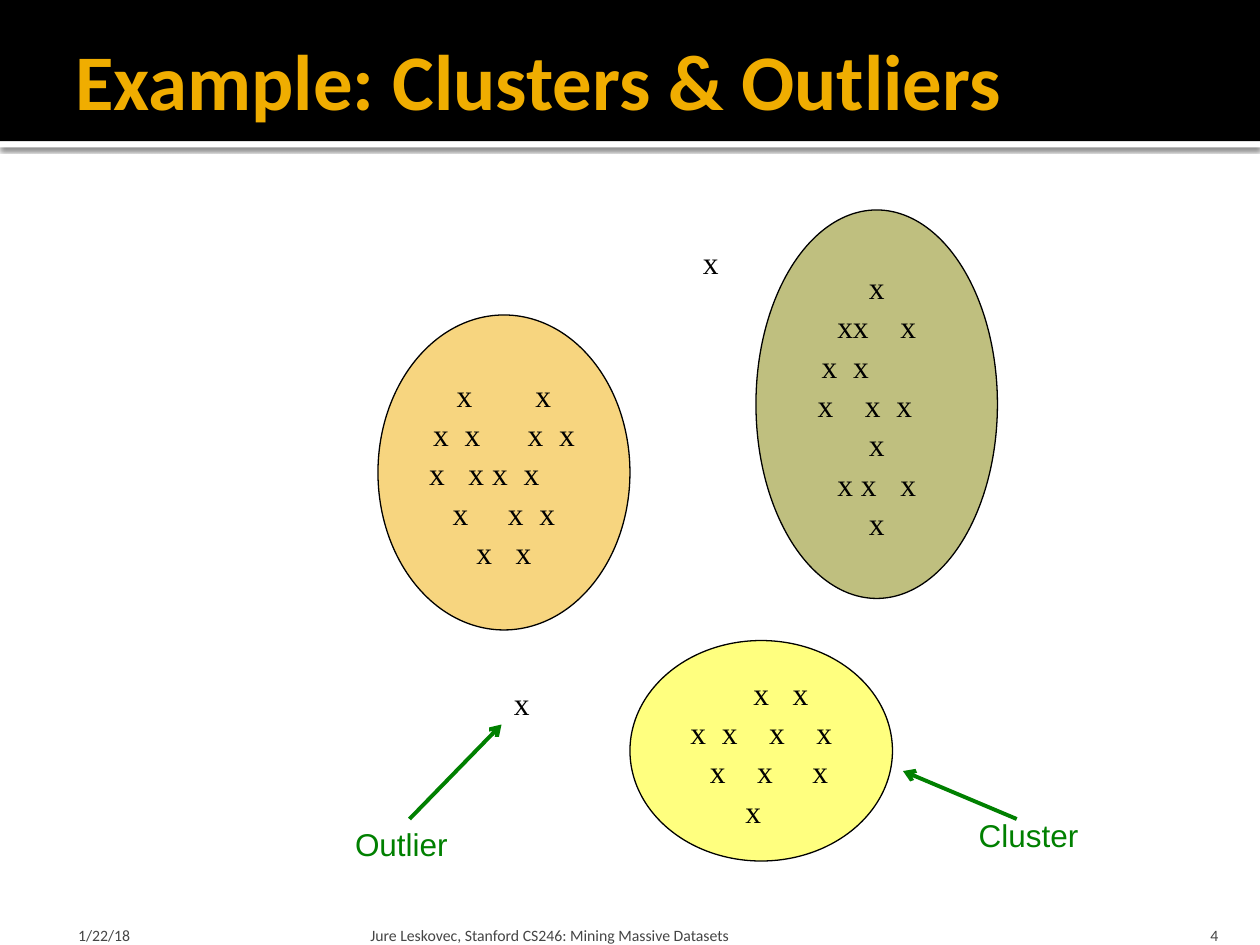
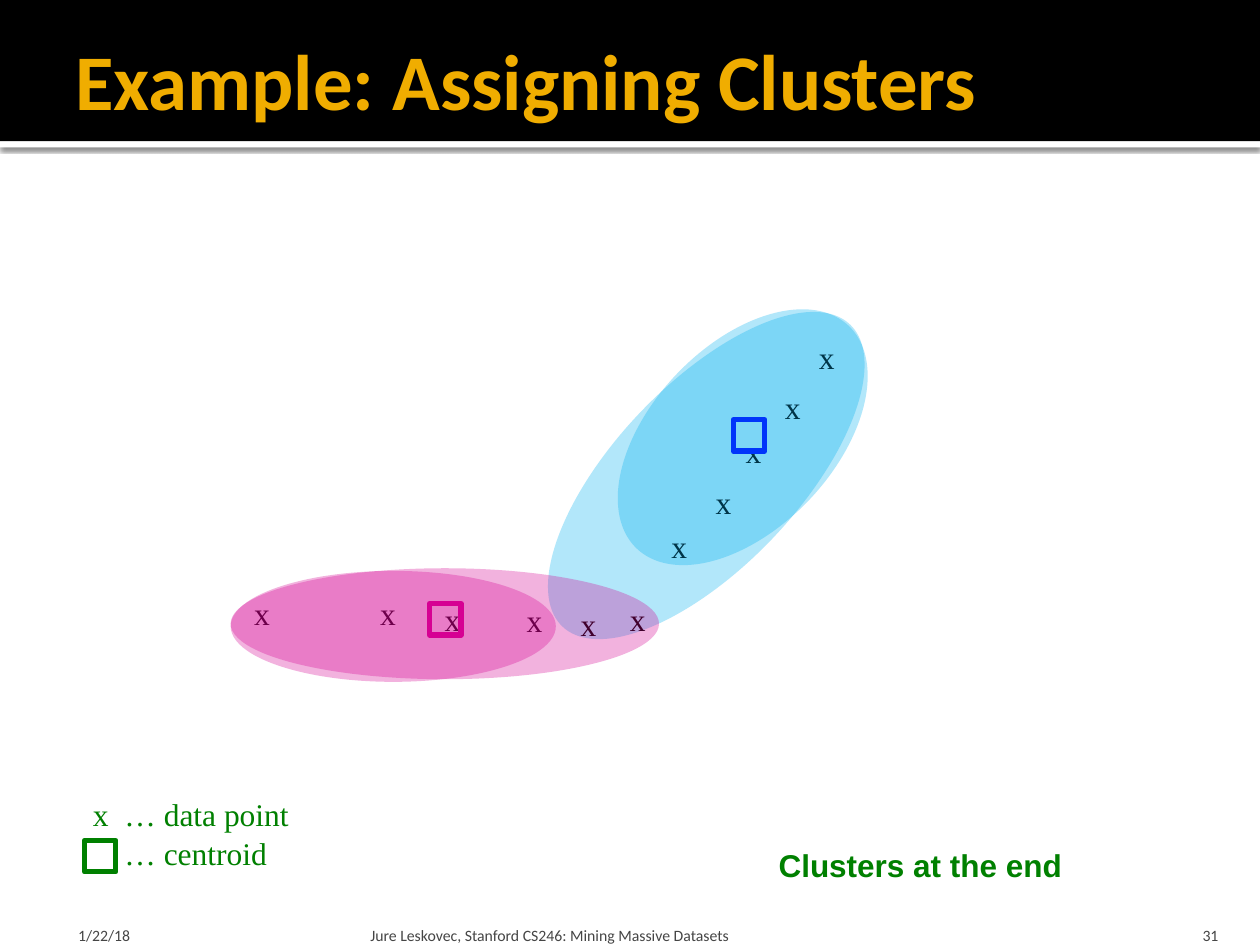
from dataclasses import dataclass
from math import sqrt

from lxml.etree import SubElement
from pptx import Presentation
from pptx.dml.color import RGBColor
from pptx.enum.shapes import MSO_CONNECTOR, MSO_SHAPE
from pptx.enum.text import MSO_ANCHOR, MSO_AUTO_SIZE, PP_ALIGN
from pptx.oxml.ns import qn
from pptx.util import Pt


@dataclass(frozen=True)
class Theme:
    black: str = "000000"
    white: str = "FFFFFF"
    gold: str = "F0AD00"
    olive: str = "808000"
    yellow: str = "FFFF00"
    green: str = "008000"
    sky: str = "00B0F0"
    blue: str = "0000FF"
    pink: str = "D60093"
    grey: str = "454545"
    heading: str = "Calibri"
    label: str = "Arial"
    mark: str = "Times New Roman"
    title_size: float = 45
    text_size: float = 18
    footer_size: float = 9
    line_spacing: float = 1.04


@dataclass(frozen=True)
class Box:
    x: float
    y: float
    w: float
    h: float

    def at(self, x, y, w=0, h=0):
        return Box(self.x + x, self.y + y, w, h)

    def lengths(self):
        return Pt(self.x), Pt(self.y), Pt(self.w), Pt(self.h)


T = Theme()
PAGE = Box(0, 0, 720, 540)
CONTENT = Box(0, 84, 720, 420)
FOOTER = Box(0, 518.4, 720, 21.6)
HALF_EM = T.text_size / 2
UNIT = T.text_size / 4
COURSE = "Jure Leskovec, Stanford CS246: Mining Massive Datasets"
DATE = "1/22/18"


def rgb(value):
    return RGBColor.from_string(value)


def style(p, font, size, color, bold=False):
    for r in p.runs:
        r.font.name, r.font.size, r.font.bold = font, Pt(size), bold
        r.font.color.rgb = rgb(color)


def set_frame(tf, insets, anchor):
    tf.word_wrap = True
    tf.auto_size = MSO_AUTO_SIZE.NONE
    tf.vertical_anchor = anchor
    tf.margin_left, tf.margin_top, tf.margin_right, tf.margin_bottom = map(Pt, insets)


def add_tabs(p, stops):
    tabs = SubElement(p._p.get_or_add_pPr(), qn("a:tabLst"))
    for stop in stops:
        SubElement(tabs, qn("a:tab"), pos=str(int(Pt(stop))), algn="l")


def add_text(s, box, text, font, size=T.text_size, color=T.green, bold=False,
             insets=(7.2, 3.6, 7.2, 3.6), anchor=MSO_ANCHOR.TOP, align=PP_ALIGN.LEFT):
    tf = s.shapes.add_textbox(*box.lengths()).text_frame
    set_frame(tf, insets, anchor)
    tf.text = text
    for p in tf.paragraphs:
        p.alignment = align
        style(p, font, size, color, bold)
    return tf


def add_shape(s, kind, box, fill=None, alpha=None, line=None, width=0.75, rotation=0):
    sp = s.shapes.add_shape(kind, *box.lengths())
    sp.shadow.inherit = False
    sp.rotation = rotation
    if fill:
        sp.fill.solid()
        sp.fill.fore_color.rgb = rgb(fill)
        if alpha:
            color = sp._element.spPr.find(qn("a:solidFill"))[0]
            SubElement(color, qn("a:alpha"), val=str(alpha * 1000))
    else:
        sp.fill.background()
    if line:
        sp.line.color.rgb = rgb(line)
        sp.line.width = Pt(width)
    else:
        sp.line.fill.background()
    return sp


def add_arrow(s, start, end):
    c = s.shapes.add_connector(MSO_CONNECTOR.STRAIGHT, Pt(start.x), Pt(start.y),
                               Pt(end.x), Pt(end.y))
    c.line.color.rgb = rgb(T.green)
    c.line.width = Pt(2.25)
    SubElement(c.line._get_or_add_ln(), qn("a:tailEnd"), type="arrow")
    SubElement(c._element.spPr, qn("a:effectLst"))


def add_point(s, box):
    add_text(s, box, "x", T.mark, color=T.black)


def add_centroid(s, box, color):
    add_shape(s, MSO_SHAPE.RECTANGLE, box, line=color, width=3)


def add_cluster(s, box, fill, rows):
    sp = add_shape(s, MSO_SHAPE.OVAL, box, fill, 50, T.black)
    tf = sp.text_frame
    set_frame(tf, (0, 0, 0, 0), MSO_ANCHOR.MIDDLE)
    middle = box.w * sqrt(0.5) / 2
    for i, row in enumerate(rows):
        p = tf.paragraphs[0] if i == 0 else tf.add_paragraph()
        text, stops, previous = "", [], None
        for offset in row:
            if previous is None or offset - previous > 2:
                text += "\t"
                stops.append(middle + UNIT * offset - HALF_EM / 2)
            text += "x"
            previous = offset
        p.text = text
        p.alignment = PP_ALIGN.LEFT
        p.line_spacing = T.line_spacing
        add_tabs(p, stops)
        style(p, T.mark, T.text_size, T.black)


def add_header(s, box, title):
    rule = add_shape(s, MSO_SHAPE.RECTANGLE, box.at(0, 80.64, box.w, 3.6), T.white)
    band = add_shape(s, MSO_SHAPE.RECTANGLE, box.at(0, 0, box.w, 80.64), T.black)
    shadow = SubElement(rule._element.spPr.find(qn("a:effectLst")), qn("a:outerShdw"),
                        blurRad=str(int(Pt(2.5))), dist=str(int(Pt(0.8))),
                        dir="5400000", algn="t", rotWithShape="0")
    color = SubElement(shadow, qn("a:srgbClr"), val=T.black)
    SubElement(color, qn("a:alpha"), val="60000")
    for sp in (band, rule):
        s.shapes._spTree.insert(2, sp._element)

    ph = s.shapes.title
    ph.left, ph.top, ph.width, ph.height = box.at(36, 12.24, 648, 66.24).lengths()
    tf = ph.text_frame
    set_frame(tf, (7.2, 3.6, 3.6, 3.6), MSO_ANCHOR.MIDDLE)
    tf.text = title
    p = tf.paragraphs[0]
    p.alignment = PP_ALIGN.LEFT
    style(p, T.heading, T.title_size, T.gold, True)


def add_footer(s, box, number):
    for x, w, text, left, right, align in (
        (36, 168, DATE, 8.64, 3.6, PP_ALIGN.LEFT),
        (208, 433.5, COURSE, 3.6, 3.6, PP_ALIGN.LEFT),
        (645.8, 57.6, str(number), 7.2, 7.2, PP_ALIGN.RIGHT),
    ):
        add_text(s, box.at(x, 0, w, box.h), text, T.heading, T.footer_size, T.grey,
                 insets=(left, 3.6, right, 0), anchor=MSO_ANCHOR.BOTTOM, align=align)


def draw_outliers(s, box):
    add_cluster(s, box.at(216, 96, 144, 180), T.gold, (
        (-5, 5), (-8, -4, 4, 8), (-8.5, -3.5, -0.5, 3.5), (-5.5, 1.5, 5.5), (-2.5, 2.5)))
    add_cluster(s, box.at(432, 36, 138, 222), T.olive, (
        (0,), (-4, -2, 4), (-6, -2), (-6.5, -0.5, 3.5), (0,), (-4, -1, 4), (0,)))
    add_cluster(s, box.at(360, 282, 150, 126), T.yellow, (
        (0, 5), (-8, -4, 2, 8), (-5.5, 0.5, 7.5), (-1,)))
    for x, y in ((394.6, 51.4), (286.6, 303.4)):
        add_point(s, box.at(x, y, 26.6, 36))
    add_arrow(s, box.at(234, 384), box.at(286.6, 330))
    add_arrow(s, box.at(581, 384), box.at(516, 356.6))
    add_text(s, box.at(195.8, 384, 70, 28.8), "Outlier", T.label)
    add_text(s, box.at(552.2, 379, 74, 28.8), "Cluster", T.label)


def add_legend(s, box):
    tf = add_text(s, box, "x\t… data point\n\t… centroid", T.mark)
    for p in tf.paragraphs:
        p.line_spacing = T.line_spacing
        add_tabs(p, [2 * HALF_EM])
    add_centroid(s, box.at(2.2, 30.2, 18, 18), T.green)


def draw_assignment(s, box):
    def region(x, y, w, h, color, rotation=0):
        add_shape(s, MSO_SHAPE.OVAL, box.at(x, y, w, h), color, 30, rotation=rotation)

    region(351.4, 68.6, 104.4, 238.3, T.sky, 43.6)
    for x, y in ((138.2, 252.2), (210.2, 252.2), (247, 255.1), (293.8, 255.8),
                 (324.7, 258), (352.8, 255.1), (376.6, 213.4), (401.8, 188.2),
                 (419, 159.4), (441.4, 134.2), (460.8, 105.4)):
        add_point(s, box.at(x, y, 24, 28.8))
    add_legend(s, box.at(46, 366, 135, 51))
    add_centroid(s, box.at(419, 155.8, 18, 18), T.blue)
    add_centroid(s, box.at(245.5, 260.9, 18, 18), T.pink)
    region(131.8, 242.2, 185.8, 63.4, T.pink)
    region(131.8, 240.7, 244.8, 63.4, T.pink)
    region(372.2, 78, 104.4, 175.7, T.sky, 43.6)
    add_text(s, box.at(437.8, 396.2, 182, 28.8), "Clusters at the end", T.label, bold=True)


def main():
    prs = Presentation()
    prs.slide_width, prs.slide_height = Pt(PAGE.w), Pt(PAGE.h)
    for title, number, draw in (
        ("Example: Clusters & Outliers", 4, draw_outliers),
        ("Example: Assigning Clusters", 31, draw_assignment),
    ):
        s = prs.slides.add_slide(prs.slide_layouts[5])
        add_header(s, PAGE, title)
        draw(s, CONTENT)
        add_footer(s, FOOTER, number)
    prs.save("out.pptx")


if __name__ == "__main__":
    main()
